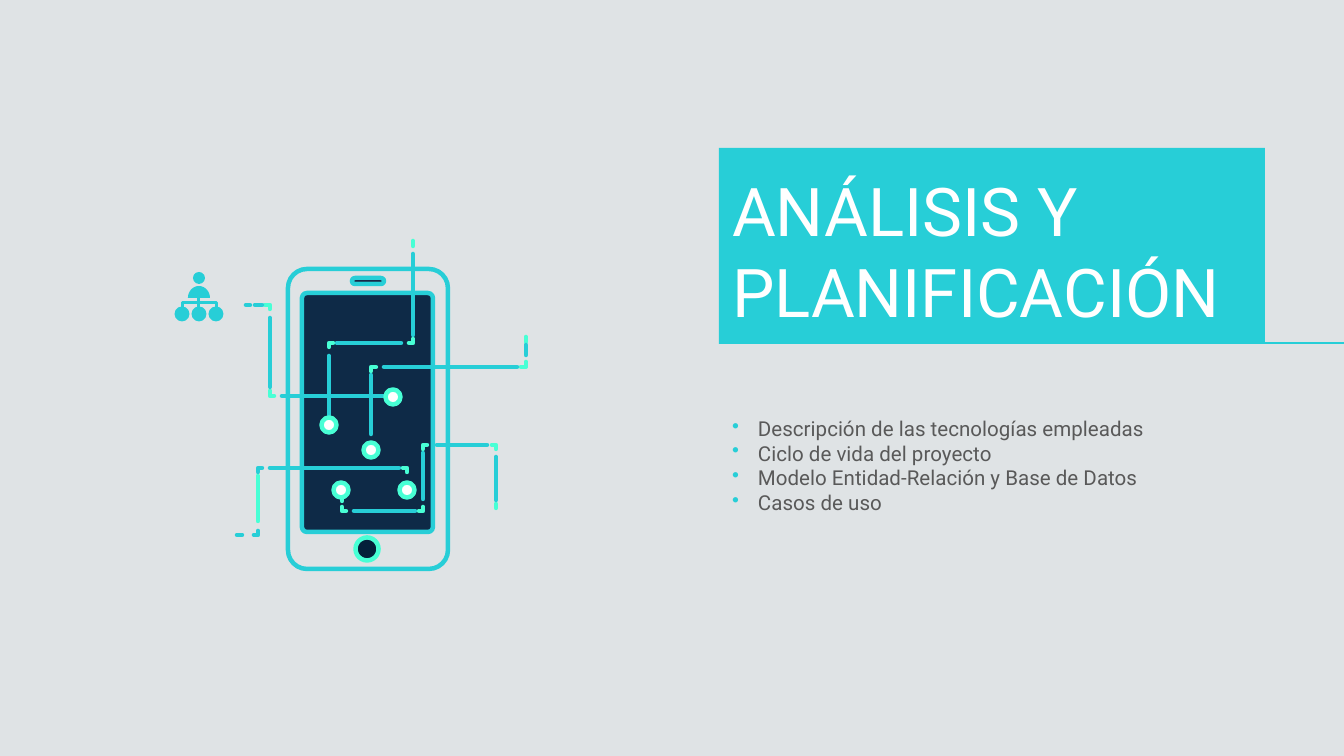
from math import cos, pi, sin

from lxml import etree
from pptx import Presentation
from pptx.dml.color import RGBColor
from pptx.enum.shapes import MSO_CONNECTOR, MSO_SHAPE
from pptx.enum.text import MSO_ANCHOR, PP_ALIGN
from pptx.oxml.ns import qn
from pptx.util import Pt

RECTANGLE = MSO_SHAPE.RECTANGLE
ROUNDED = MSO_SHAPE.ROUNDED_RECTANGLE
OVAL = MSO_SHAPE.OVAL
STRAIGHT = MSO_CONNECTOR.STRAIGHT

SCALE = 914400 / 134.4
FONT = "Roboto"
STROKE = 2.4
COLORS = {
    "background": "DFE3E5",
    "main": "27CED7",
    "bright": "48FFD5",
    "screen": "0E2A47",
    "button": "04203A",
    "speaker": "161234",
    "white": "FFFFFF",
    "text": "595959",
}

TITLE = "ANÁLISIS Y PLANIFICACIÓN"
TOPICS = [
    "Descripción de las tecnologías empleadas",
    "Ciclo de vida del proyecto",
    "Modelo Entidad-Relación y Base de Datos",
    "Casos de uso",
]

PHONE_PARTS = [
    (288, 269, 160, 300, 19, None),
    (302, 293, 131, 239, 5, "screen"),
    (352, 278, 32, 6, 3, "speaker"),
]
HOME_BUTTON = (367, 549, 23)
NODE_SIZE = 15
NODES = [(341, 490), (393, 397), (407, 490), (371, 450), (329, 425)]
TRACES = [
    ("bright", [
        [(342, 497), (342, 501)],
        [(342, 507), (342, 511), (346, 511)],
        [(419, 511), (423, 511), (423, 507)],
        [(423, 449), (423, 445), (427, 445)],
        [(492, 445), (496, 445), (496, 449)],
        [(496, 504), (496, 508)],
        [(265, 305), (270, 305), (270, 309)],
        [(270, 391), (270, 396), (274, 396)],
        [(258, 521), (258, 476)],
        [(403, 468), (407, 468), (407, 472)],
        [(371, 371), (371, 367), (376, 367)],
        [(521, 367), (526, 367), (526, 362)],
        [(526, 342), (526, 337)],
        [(413, 241), (413, 246)],
        [(413, 339), (413, 343), (409, 343)],
        [(333, 343), (329, 343), (329, 347)],
    ]),
    ("main", [
        [(354, 511), (415, 511)],
        [(423, 499), (423, 453)],
        [(437, 445), (487, 445)],
        [(496, 457), (496, 500)],
        [(246, 305), (250, 305)],
        [(255, 305), (262, 305)],
        [(270, 318), (270, 387)],
        [(282, 396), (383, 396)],
        [(237, 535), (242, 535)],
        [(254, 535), (258, 535), (258, 531)],
        [(258, 472), (258, 468), (262, 468)],
        [(270, 468), (399, 468)],
        [(371, 434), (371, 375)],
        [(384, 367), (517, 367)],
        [(526, 355), (526, 345)],
        [(413, 254), (413, 335)],
        [(401, 343), (337, 343)],
        [(329, 356), (329, 415)],
    ]),
]

ICON_X = 199
ICON_STEP = 17
ICON_BRANCH_Y = 303
ICON_CIRCLE_Y = 314
ICON_STROKE = 1.6


def px(value):
    return round(value * SCALE)


def color(name):
    return RGBColor.from_string(COLORS[name])


def style(shape, fill=None, line=None, width=STROKE):
    shape.shadow.inherit = False
    if fill:
        shape.fill.solid()
        shape.fill.fore_color.rgb = color(fill)
    else:
        shape.fill.background()
    if line:
        shape.line.color.rgb = color(line)
        shape.line.width = Pt(width)
    else:
        shape.line.fill.background()
    return shape


def add_preset(kind, left, top, width, height, **look):
    shape = slide.shapes.add_shape(kind, px(left), px(top), px(width), px(height))
    return style(shape, **look)


def add_circle(x, y, size, **look):
    return add_preset(OVAL, x - size / 2, y - size / 2, size, size, **look)


def add_outline(points, closed=False, **look):
    (x, y), *others = [(px(x), px(y)) for x, y in points]
    builder = slide.shapes.build_freeform(x, y, scale=1.0)
    builder.add_line_segments(others, close=closed)
    return style(builder.convert_to_shape(), **look)


def add_stroke(points, name, width=STROKE, cap="rnd"):
    if len(points) > 2:
        shape = add_outline(points, line=name, width=width)
    else:
        ends = [px(value) for point in points for value in point]
        shape = slide.shapes.add_connector(STRAIGHT, *ends)
        shape.line.color.rgb = color(name)
        shape.line.width = Pt(width)
        etree.SubElement(shape._element.spPr, qn("a:effectLst"))
    outline = shape._element.spPr.find(qn("a:ln"))
    outline.set("cap", cap)
    etree.SubElement(outline, qn("a:round"))


def fill_text(shape, lines, size, name, anchor, bullets=False):
    frame = shape.text_frame
    frame.word_wrap = True
    frame.vertical_anchor = anchor
    frame.margin_left = frame.margin_right = px(13)
    frame.margin_top = frame.margin_bottom = px(13)
    for index, line in enumerate(lines):
        paragraph = frame.paragraphs[0] if index == 0 else frame.add_paragraph()
        paragraph.text = line
        paragraph.alignment = PP_ALIGN.LEFT
        if bullets:
            properties = paragraph._p.get_or_add_pPr()
            properties.set("marL", str(px(26)))
            properties.set("indent", str(-px(26)))
            bullet_color = etree.SubElement(properties, qn("a:buClr"))
            etree.SubElement(bullet_color, qn("a:srgbClr"), val=COLORS["main"])
            etree.SubElement(properties, qn("a:buChar"), char="•")
        paragraph.font.name = FONT
        paragraph.font.size = Pt(size)
        paragraph.font.color.rgb = color(name)


presentation = Presentation()
presentation.slide_width = px(1344)
presentation.slide_height = px(756)
slide = presentation.slides.add_slide(presentation.slide_layouts[6])
slide.background.fill.solid()
slide.background.fill.fore_color.rgb = color("background")

title = add_preset(RECTANGLE, 719, 148, 546, 196, fill="main")
fill_text(title, [TITLE], 36, "white", MSO_ANCHOR.BOTTOM)
topics = slide.shapes.add_textbox(px(719), px(403), px(508), px(208))
fill_text(topics, TOPICS, 11, "text", MSO_ANCHOR.TOP, bullets=True)
add_stroke([(746, 343), (1344, 343)], "main", 0.75, "flat")

for left, top, width, height, radius, fill in PHONE_PARTS:
    part = add_preset(ROUNDED, left, top, width, height, fill=fill, line="main")
    part.adjustments[0] = radius / min(width, height)
add_circle(*HOME_BUTTON, fill="button", line="bright")

for name, strokes in TRACES:
    for points in strokes:
        add_stroke(points, name)
for x, y in NODES:
    add_circle(x, y, NODE_SIZE, fill="white", line="bright")

circle_xs = [ICON_X + step * ICON_STEP for step in (-1, 0, 1)]
branch = [
    (circle_xs[0], ICON_CIRCLE_Y),
    (circle_xs[0], ICON_BRANCH_Y),
    (circle_xs[2], ICON_BRANCH_Y),
    (circle_xs[2], ICON_CIRCLE_Y),
]
shoulders = [
    (ICON_X - 11 * cos(pi * step / 16), 298 - 12 * sin(pi * step / 16))
    for step in range(17)
]
add_stroke(branch, "main", ICON_STROKE)
add_stroke([(ICON_X, 298), (ICON_X, ICON_CIRCLE_Y)], "main", ICON_STROKE)
add_outline(shoulders, closed=True, fill="main")
add_circle(ICON_X, 278, 12, fill="main")
for x in circle_xs:
    add_circle(x, ICON_CIRCLE_Y, 15, fill="main")

presentation.save("out.pptx")
